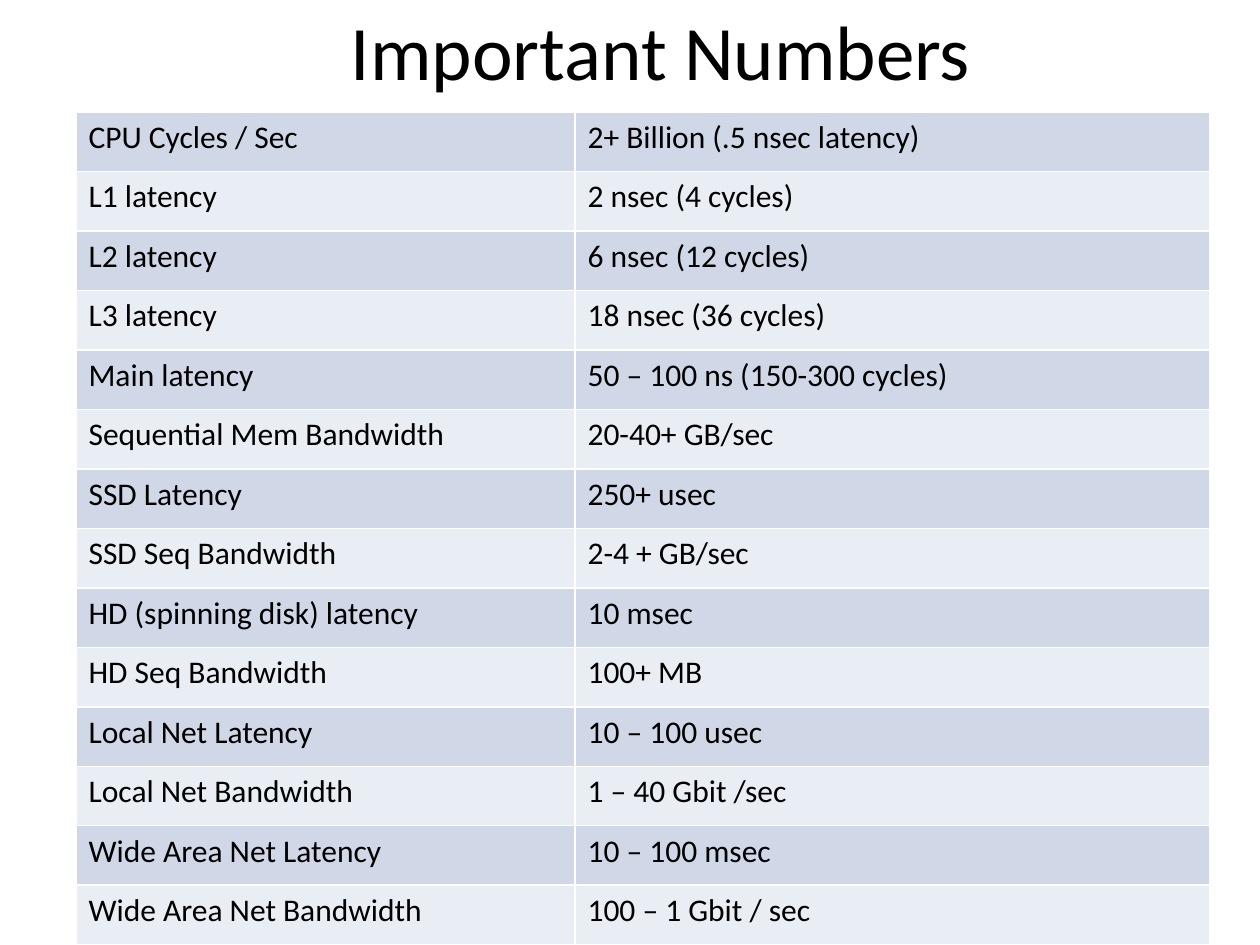
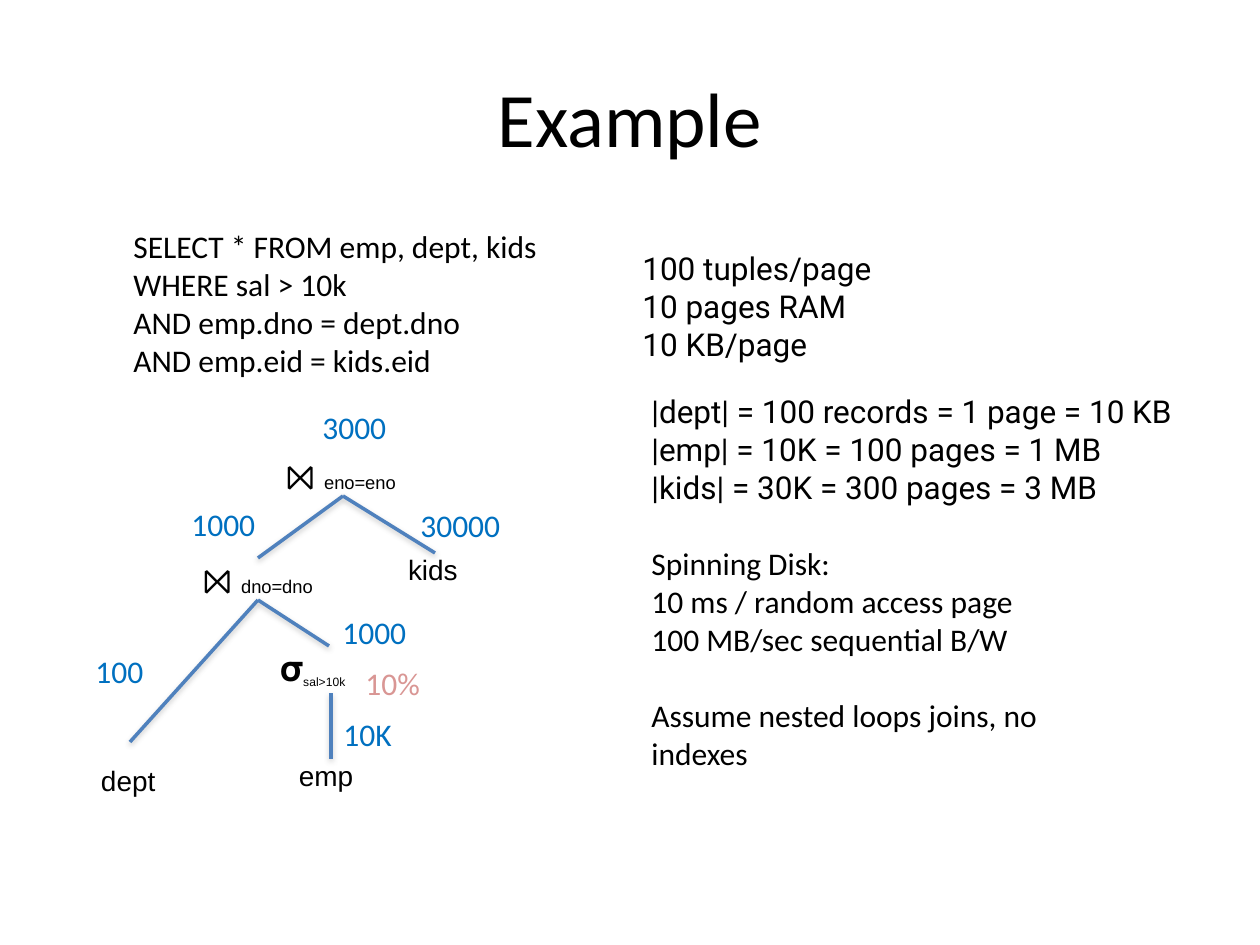
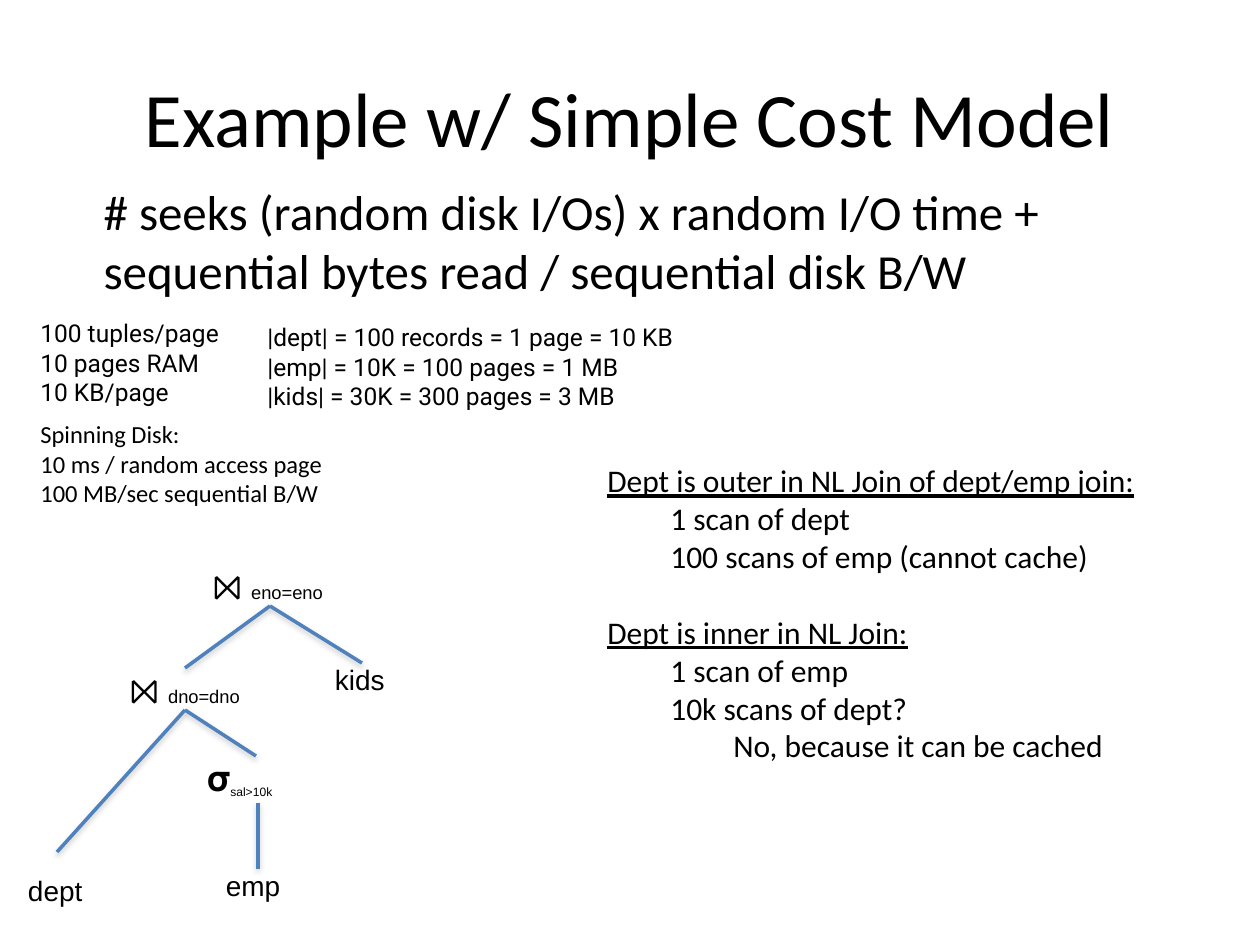
from lxml.etree import SubElement
from pptx import Presentation
from pptx.dml.color import RGBColor
from pptx.enum.shapes import MSO_CONNECTOR
from pptx.enum.text import MSO_ANCHOR, MSO_AUTO_SIZE, PP_ALIGN
from pptx.oxml import parse_xml
from pptx.oxml.ns import nsdecls, qn
from pptx.util import Emu, Inches, Pt

PIXELS_PER_INCH = 126
COLORS = {
    "text": "000000",
    "count": "0070C0",
    "selectivity": "D99694",
    "branch": "4F81BD",
    "shadow": "808080",
    "border": "FFFFFF",
    "odd_row": "D0D8E8",
    "even_row": "E9EDF4",
}
TITLE_ONLY, TITLE_AND_BODY = 5, 1
TITLE_AREA = (63, 38, 1134, 157)
TAB = 63
BLANK_LINE = 22  # points, one line of 18 point text


def px(length):
    return Emu(round(length * Inches(1) / PIXELS_PER_INCH))


def rgb(name):
    return RGBColor.from_string(COLORS[name])


def add_span(para, text, size=18, font="Calibri", color="text", underline=None, baseline=None):
    span = para.add_run()
    span.text = text
    span.font.size = Pt(size)
    span.font.name = font
    span.font.color.rgb = rgb(color)
    span.font.underline = underline
    if baseline:
        span._r.get_or_add_rPr().set("baseline", str(baseline * 1000))


def add_line(frame, text, indent=0, before=None, align=None, **style):
    """Write one paragraph; the first one fills the frame's empty paragraph."""
    first = frame.paragraphs[0]
    para = frame.add_paragraph() if first.runs else first
    if align is not None:
        para.alignment = align
    if before:
        para.space_before = Pt(before)
    if indent:
        properties = para._p.get_or_add_pPr()
        properties.set("marL", str(px(indent)))
        properties.set("indent", "0")
    add_span(para, text, **style)
    return para


class SlideWriter:
    def __init__(self, deck):
        self.deck = deck
        self.slide = None

    def place(self, shape, area):
        shape.left, shape.top, shape.width, shape.height = map(px, area)

    def new_slide(self, title, layout=TITLE_ONLY, area=TITLE_AREA):
        self.slide = self.deck.slides.add_slide(self.deck.slide_layouts[layout])
        holder = self.slide.shapes.title
        self.place(holder, area)
        holder.text_frame.vertical_anchor = MSO_ANCHOR.MIDDLE
        add_line(holder.text_frame, title, align=PP_ALIGN.CENTER, size=44)

    def body(self, text, area):
        holder = self.slide.placeholders[1]
        self.place(holder, area)
        para = add_line(holder.text_frame, text, indent=TAB, size=28)
        para.level = 1
        SubElement(para._p.get_or_add_pPr(), qn("a:buNone"))

    def text_box(self, area, lines, shapes=None, inset=None, **style):
        """Lines are strings, or (string, format) pairs."""
        box = (shapes or self.slide.shapes).add_textbox(*map(px, area))
        frame = box.text_frame
        frame.word_wrap = True
        frame.auto_size = MSO_AUTO_SIZE.SHAPE_TO_FIT_TEXT
        if inset is not None:
            frame.margin_left = frame.margin_right = px(inset)
            frame.margin_top = frame.margin_bottom = px(inset)
        for line in lines:
            text, extra = (line, {}) if isinstance(line, str) else line
            add_line(frame, text, **{**style, **extra})
        return frame

    def branch(self, shapes, start, end):
        line = shapes.add_connector(MSO_CONNECTOR.STRAIGHT, *map(px, start + end))
        line.line.color.rgb = rgb("branch")
        line.line.width = Pt(2)
        line._element.spPr.append(parse_xml(
            f'<a:effectLst {nsdecls("a")}>'
            '<a:outerShdw blurRad="40000" dist="20000" dir="5400000" rotWithShape="0">'
            f'<a:srgbClr val="{COLORS["shadow"]}"><a:alpha val="38000"/></a:srgbClr>'
            '</a:outerShdw></a:effectLst>'))

    def plan_tree(self, right=0, down=0):
        """Draw the query plan, shifted from its place on the example slide."""
        shapes = self.slide.shapes.add_group_shape().shapes

        def label(area, text, **style):
            left, top, width, height = area
            frame = self.text_box((left + right, top + down, width, height), [text],
                                  shapes, inset=0, font="Arial", **style)
            return frame.paragraphs[0]

        # Operators
        for left, top, condition in [(278, 454, "eno=eno"), (195, 558, "dno=dno")]:
            para = label((left, top, 126, 43), "\u2a1d ", size=20, align=PP_ALIGN.CENTER)
            add_span(para, condition, size=10.5, font="Arial")
        # Relations
        for left, top, width, name in [(101, 764, 59, "dept"), (299, 759, 66, "emp"),
                                       (408, 553, 54, "kids")]:
            label((left, top, width, 34), name, size=16)
        # Selection
        para = label((280, 646, 98, 43), "\U0001d6d4", size=20)
        add_span(para, "sal>10k", size=12, font="Arial", baseline=-25)
        # Branches
        upper, lower = (343, 496), (258, 600)
        for start, end in [((130, 742), lower), ((329, 646), lower), ((258, 558), upper),
                           ((435, 553), upper), ((331, 759), (331, 693))]:
            self.branch(shapes, *[(x + right, y + down) for x, y in (start, end)])

    def cell_borders(self, cell):
        properties = cell._tc.get_or_add_tcPr()
        for position, side in enumerate(("lnL", "lnR", "lnT", "lnB")):
            properties.insert(position, parse_xml(
                f'<a:{side} {nsdecls("a")} w="12700"><a:solidFill>'
                f'<a:srgbClr val="{COLORS["border"]}"/></a:solidFill></a:{side}>'))

    def table(self, area, widths, rows):
        table = self.slide.shapes.add_table(len(rows), len(widths), *map(px, area)).table
        table.first_row = table.horz_banding = False
        for column, width in zip(table.columns, widths):
            column.width = px(width)
        for index, values in enumerate(rows):
            table.rows[index].height = px(area[3] / len(rows))
            for column, value in enumerate(values):
                cell = table.cell(index, column)
                cell.fill.solid()
                cell.fill.fore_color.rgb = rgb("even_row" if index % 2 else "odd_row")
                self.cell_borders(cell)
                add_line(cell.text_frame, value)


# Text that two slides share
MEMORY = ["100 tuples/page", "10 pages RAM", "10 KB/page"]
RELATIONS = ["|dept| = 100 records = 1 page = 10 KB",
             "|emp| = 10K = 100 pages = 1 MB",
             "|kids| = 30K = 300 pages = 3 MB"]
DISK = ["Spinning Disk:", "10 ms / random access page", "100 MB/sec sequential B/W"]

deck = Presentation()
deck.slide_width, deck.slide_height = px(1260), px(945)
writer = SlideWriter(deck)

# Slide 1: latency and bandwidth table
writer.new_slide("Important Numbers", area=(94, -29, 1134, 157))
writer.table((76, 112, 1134, 833), (499, 635), [
    ("CPU Cycles / Sec", "2+ Billion (.5 nsec latency)"),
    ("L1 latency", "2 nsec (4 cycles)"),
    ("L2 latency", "6 nsec (12 cycles)"),
    ("L3 latency", "18 nsec (36 cycles)"),
    ("Main latency", "50 – 100 ns (150-300 cycles)"),
    ("Sequential Mem Bandwidth", "20-40+ GB/sec"),
    ("SSD Latency", "250+ usec"),
    ("SSD Seq Bandwidth", "2-4 + GB/sec"),
    ("HD (spinning disk) latency", "10 msec"),
    ("HD Seq Bandwidth", "100+ MB"),
    ("Local Net Latency", "10 – 100 usec"),
    ("Local Net Bandwidth", "1 – 40 Gbit /sec"),
    ("Wide Area Net Latency", "10 – 100 msec"),
    ("Wide Area Net Bandwidth", "100 – 1 Gbit / sec"),
])

# Slide 2: query, plan and assumptions
writer.new_slide("Example")
writer.plan_tree()
writer.text_box((630, 243, 630, 127), MEMORY, font="Roboto")
writer.text_box((639, 386, 630, 127), RELATIONS, font="Roboto")
writer.text_box((639, 538, 475, 280), DISK + [
    ("Assume nested loops joins, no indexes", {"before": BLANK_LINE})])
for left, top, value, color in [
    (83, 646, "100", "count"),
    (331, 709, "10K", "count"),
    (353, 658, "10%", "selectivity"),
    (330, 607, "1000", "count"),
    (179, 499, "1000", "count"),
    (408, 500, "30000", "count"),
    (310, 402, "3000", "count"),
]:
    writer.text_box((left, top, 122, 50), [value], color=color)
writer.text_box((121, 221, 500, 165), [
    "SELECT * FROM emp, dept, kids",
    "WHERE sal > 10k",
    "AND emp.dno = dept.dno",
    "AND emp.eid = kids.eid",
])

# Slide 3: cost model
writer.new_slide("Example w/ Simple Cost Model", TITLE_AND_BODY)
writer.body("# seeks (random disk I/Os) x random I/O time + "
            "sequential bytes read / sequential disk B/W", (28, 175, 1134, 180))
writer.text_box((28, 312, 630, 102), MEMORY, size=14, font="Roboto")
writer.text_box((255, 316, 630, 102), RELATIONS, size=14, font="Roboto")
writer.text_box((28, 413, 475, 131), DISK, size=14)
writer.plan_tree(right=-73, down=110)
writer.text_box((595, 455, 602, 432), [
    ("Dept is outer in NL Join of dept/emp join:", {"underline": True}),
    ("1 scan of dept", {"indent": TAB}),
    ("100 scans of emp (cannot cache)", {"indent": TAB}),
    ("Dept is inner in NL Join:", {"underline": True, "before": BLANK_LINE}),
    ("1 scan of emp", {"indent": TAB}),
    ("10k scans of dept?", {"indent": TAB}),
    ("No, because it can be cached", {"indent": 2 * TAB}),
])

deck.save("out.pptx")
